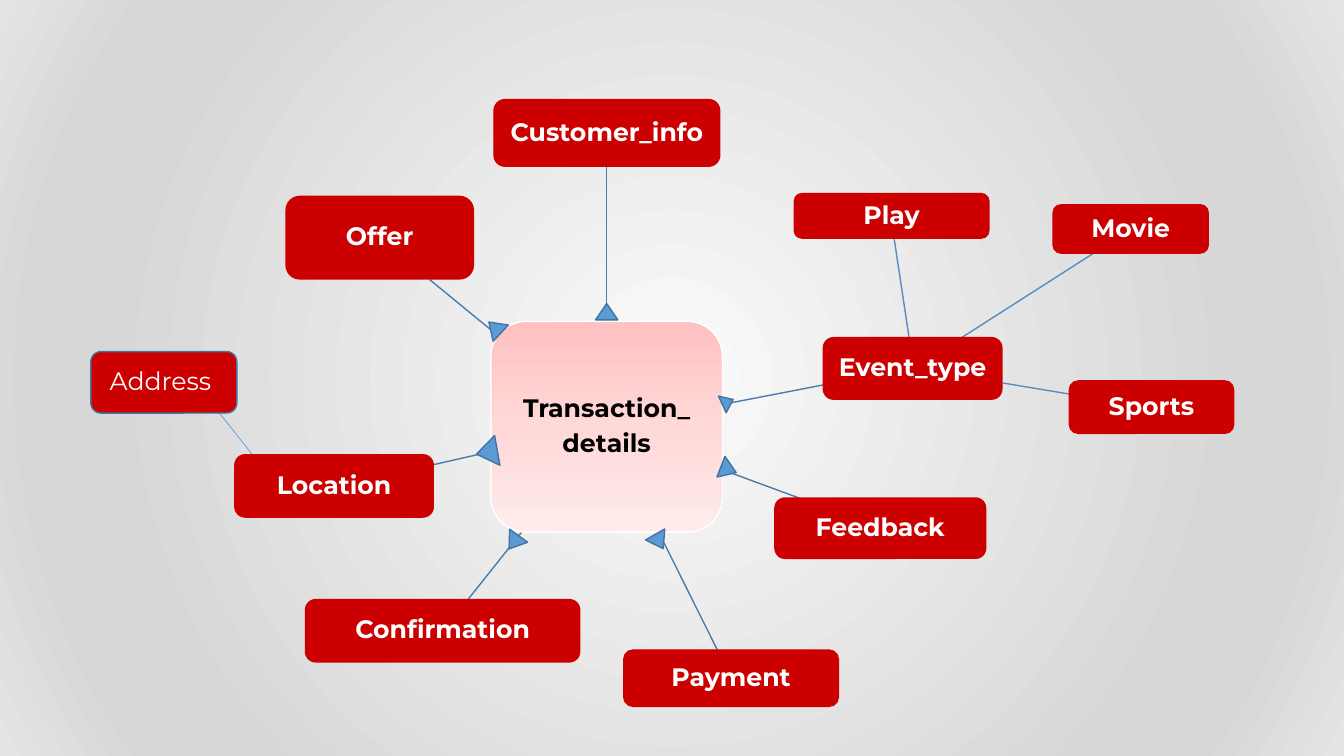
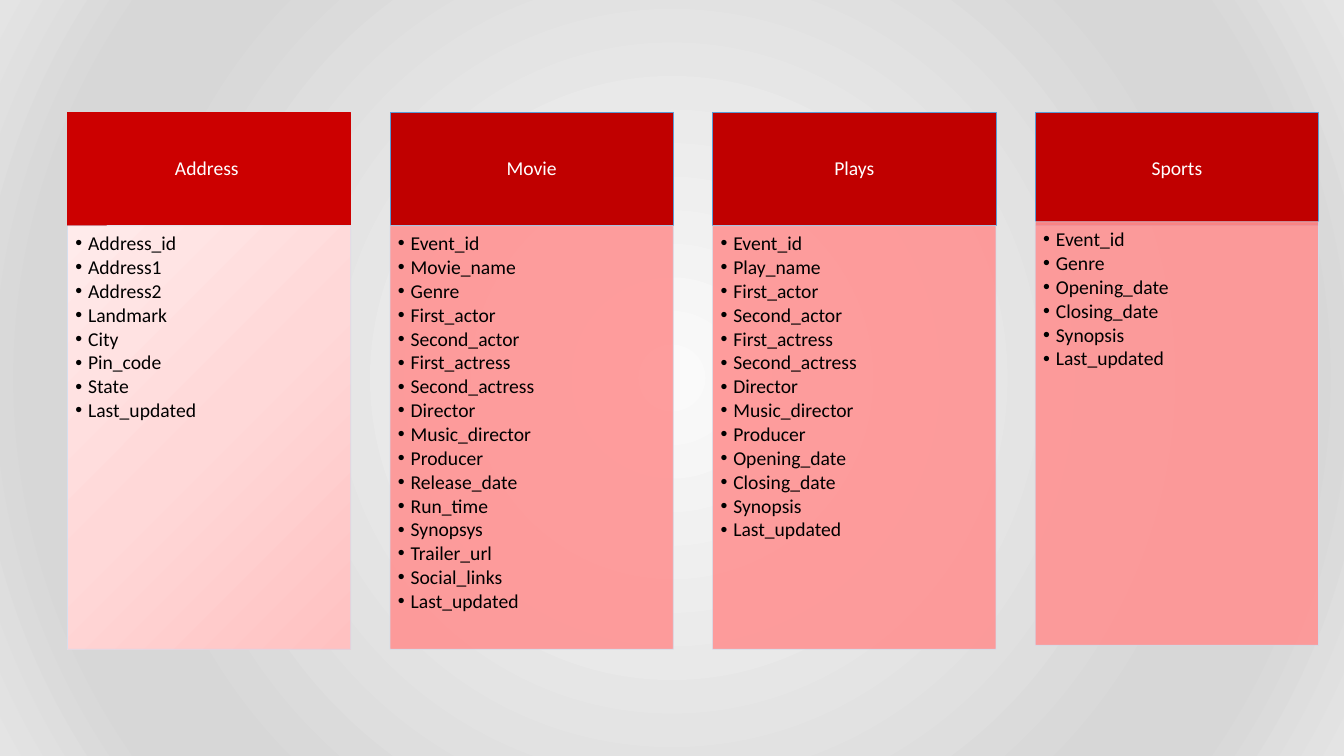
from lxml.etree import SubElement
from pptx import Presentation
from pptx.dml.color import RGBColor
from pptx.enum.shapes import MSO_CONNECTOR, MSO_SHAPE
from pptx.enum.text import MSO_ANCHOR, PP_ALIGN
from pptx.oxml import parse_xml
from pptx.oxml.ns import nsdecls, qn
from pptx.util import Cm, Pt

RED = RGBColor(0xCC, 0x00, 0x00)
DARK_RED = RGBColor(0xC0, 0x00, 0x00)
SALMON = RGBColor(0xFF, 0x93, 0x93)
PALE_BLUE = RGBColor(0xD2, 0xDE, 0xEF)
BLUE = RGBColor(0x5B, 0x9B, 0xD5)
EDGE_BLUE = RGBColor(0x43, 0x73, 0x9E)
LINK_BLUE = RGBColor(0x49, 0x7C, 0xAB)
BRANCH_BLUE = RGBColor(0x53, 0x8D, 0xC1)
WHITE = RGBColor(0xFF, 0xFF, 0xFF)
BLACK = RGBColor(0x00, 0x00, 0x00)

GREYS = [(0, "FAFAFA"), (74, "D7D7D7"), (83, "D7D7D7"), (100, "E4E4E4")]
PINKS = [(0, "FFC1C1"), (50, "FFD8D8"), (100, "FFEBEB")]
TOP_DOWN = '<a:lin ang="5400000" scaled="0"/>'
CIRCLE = '<a:path path="circle"><a:fillToRect {}/></a:path>'
FROM_CENTRE = CIRCLE.format('l="50000" t="50000" r="50000" b="50000"')
FROM_CORNER = CIRCLE.format('l="100000" t="100000"')


def gradient(stops, direction):
    stops_xml = "".join(
        f'<a:gs pos="{pos * 1000}"><a:srgbClr val="{color}"/></a:gs>'
        for pos, color in stops)
    return parse_xml(f'<a:gradFill {nsdecls("a")} rotWithShape="1">'
                     f'<a:gsLst>{stops_xml}</a:gsLst>{direction}</a:gradFill>')


def add_box(s, shape, at, text="", *, fill=RED, line=RED, width=1, font="Montserrat",
            size=18, color=WHITE, bold=False, after=6, bullets=False):
    """Add a shape with one paragraph per text line; fill is a colour or a gradient."""
    sp = s.shapes.add_shape(shape, *[Cm(v) for v in at])
    sp.shadow.inherit = False
    sp.fill.solid()
    if isinstance(fill, RGBColor):
        sp.fill.fore_color.rgb = fill
    else:
        solid = sp.element.spPr.find(qn("a:solidFill"))
        sp.element.spPr.replace(solid, fill)
    sp.line.color.rgb = line
    sp.line.width = Pt(width)
    if not text:
        return sp
    tf = sp.text_frame
    tf.word_wrap = True
    margins = (0.2, 0.2, 0.28, 0.3) if bullets else (0, 0, 0, 0)
    tf.margin_left, tf.margin_top, tf.margin_right, tf.margin_bottom = map(Cm, margins)
    tf.vertical_anchor = MSO_ANCHOR.TOP if bullets else MSO_ANCHOR.MIDDLE
    for i, row in enumerate(text.split("\n")):
        p = tf.add_paragraph() if i else tf.paragraphs[0]
        if bullets:
            pPr = p._p.get_or_add_pPr()
            pPr.set("marL", str(Cm(0.32)))
            pPr.set("indent", str(-Cm(0.32)))
            SubElement(pPr, qn("a:buFont"), typeface="Arial")
            SubElement(pPr, qn("a:buChar"), char="•")
        p.alignment = PP_ALIGN.LEFT if bullets else PP_ALIGN.CENTER
        p.line_spacing = 0.9
        p.space_after = Pt(after)
        r = p.add_run()
        r.text = row
        r.font.name = font
        r.font.size = Pt(size)
        r.font.bold = bold
        r.font.color.rgb = color
    return sp


prs = Presentation()
prs.slide_width, prs.slide_height = Cm(33.87), Cm(19.05)
prs.slide_master.background.fill.solid()
bg = prs.slide_master.element.xpath("p:cSld/p:bg/p:bgPr")[0]
bg.replace(bg.find(qn("a:solidFill")), gradient(GREYS, FROM_CENTRE))
blank = prs.slide_layouts[6]

# Slide 1: entity map
s = prs.slides.add_slide(blank)
links = [
    (12.37, 8.31, 10.82, 7.04, LINK_BLUE, 1),
    (12.37, 11.38, 10.92, 11.71, LINK_BLUE, 1),
    (13.16, 13.39, 11.79, 15.11, LINK_BLUE, 1),
    (16.59, 13.39, 18.08, 16.38, LINK_BLUE, 1),
    (18.21, 11.84, 20.14, 12.55, LINK_BLUE, 1),
    (18.21, 10.19, 20.75, 9.7, LINK_BLUE, 1),
    (15.29, 8.1, 15.29, 4.19, LINK_BLUE, 1),
    (24.23, 8.51, 27.56, 6.38, BRANCH_BLUE, 1),
    (25.27, 9.65, 26.95, 9.93, BRANCH_BLUE, 1),
    (22.91, 8.51, 22.53, 5.99, BRANCH_BLUE, 1),
    (6.38, 11.48, 5.11, 9.88, BLUE, 0.5),
]
for *ends, color, width in links:
    link = s.shapes.add_connector(MSO_CONNECTOR.STRAIGHT, *[Cm(v) for v in ends])
    link.line.color.rgb = color
    link.line.width = Pt(width)
    SubElement(link._element.spPr, qn("a:effectLst"))

add_box(s, MSO_SHAPE.ROUNDED_RECTANGLE, (12.37, 8.1, 5.84, 5.31), "Transaction_\ndetails",
        fill=gradient(PINKS, TOP_DOWN), line=WHITE, color=BLACK, bold=True)

entities = {
    "Customer_info": (12.45, 2.51, 5.69, 1.68),
    "Event_type": (20.75, 8.51, 4.5, 1.55),
    "Movie": (26.54, 5.16, 3.91, 1.22),
    "Sports": (26.95, 9.6, 4.14, 1.32),
    "Play": (20.02, 4.88, 4.9, 1.12),
    "Feedback": (19.53, 12.55, 5.31, 1.52),
    "Payment": (15.72, 16.38, 5.41, 1.42),
    "Confirmation": (7.7, 15.11, 6.91, 1.57),
    "Location": (5.92, 11.46, 5, 1.57),
    "Offer": (7.21, 4.95, 4.72, 2.08),
}
for name, at in entities.items():
    add_box(s, MSO_SHAPE.ROUNDED_RECTANGLE, at, name, bold=True)
add_box(s, MSO_SHAPE.ROUNDED_RECTANGLE, (2.29, 8.86, 3.68, 1.55), "Address ", line=EDGE_BLUE)

arrowheads = [
    (15.01, 7.65, 0.56, 0.41, 0),
    (12.19, 8.05, 0.56, 0.41, 313.2),
    (11.89, 11.13, 0.76, 0.53, 259.9),
    (12.67, 13.46, 0.56, 0.41, 215.9),
    (16.33, 13.44, 0.56, 0.41, 150.3),
    (18.11, 9.98, 0.46, 0.3, 65.4),
    (18.08, 11.63, 0.56, 0.41, 111.2),
]
for *at, angle in arrowheads:
    head = add_box(s, MSO_SHAPE.FLOWCHART_EXTRACT, at, fill=BLUE, line=EDGE_BLUE)
    head.rotation = angle

# Slide 2: attribute cards
s = prs.slides.add_slide(blank)
CARD_LEFT, CARD_STEP, CARD_WIDTH = 1.7, 8.13, 7.14
cards = [
    ("Address ", RED, RED, gradient(PINKS, FROM_CORNER), 5.69,
     "Address_id Address1 Address2 Landmark City Pin_code State Last_updated"),
    ("Movie", DARK_RED, BLUE, SALMON, 5.69,
     "Event_id Movie_name Genre First_actor Second_actor First_actress Second_actress "
     "Director Music_director Producer Release_date Run_time Synopsys Trailer_url "
     "Social_links Last_updated"),
    ("Plays", DARK_RED, BLUE, SALMON, 5.69,
     "Event_id Play_name First_actor Second_actor First_actress Second_actress Director "
     "Music_director Producer Opening_date Closing_date Synopsis Last_updated"),
    ("Sports", DARK_RED, BLUE, SALMON, 5.59,
     "Event_id Genre Opening_date Closing_date Synopsis Last_updated"),
]
for i, (title, fill, line, body_fill, body_top, fields) in enumerate(cards):
    left = CARD_LEFT + i * CARD_STEP
    add_box(s, MSO_SHAPE.RECTANGLE, (left, 2.84, CARD_WIDTH, 2.85), title,
            fill=fill, line=line, width=0.5, font="Calibri", size=14)
    body = add_box(s, MSO_SHAPE.RECTANGLE, (left, body_top, CARD_WIDTH, 10.67),
                   "\n".join(fields.split()), fill=body_fill, line=PALE_BLUE, width=0.5,
                   font="Calibri", size=14, color=BLACK, after=1.9, bullets=True)
    for clr in body.element.spPr.xpath(".//a:solidFill/a:srgbClr"):
        SubElement(clr, qn("a:alpha"), val="90000")

prs.save("out.pptx")
